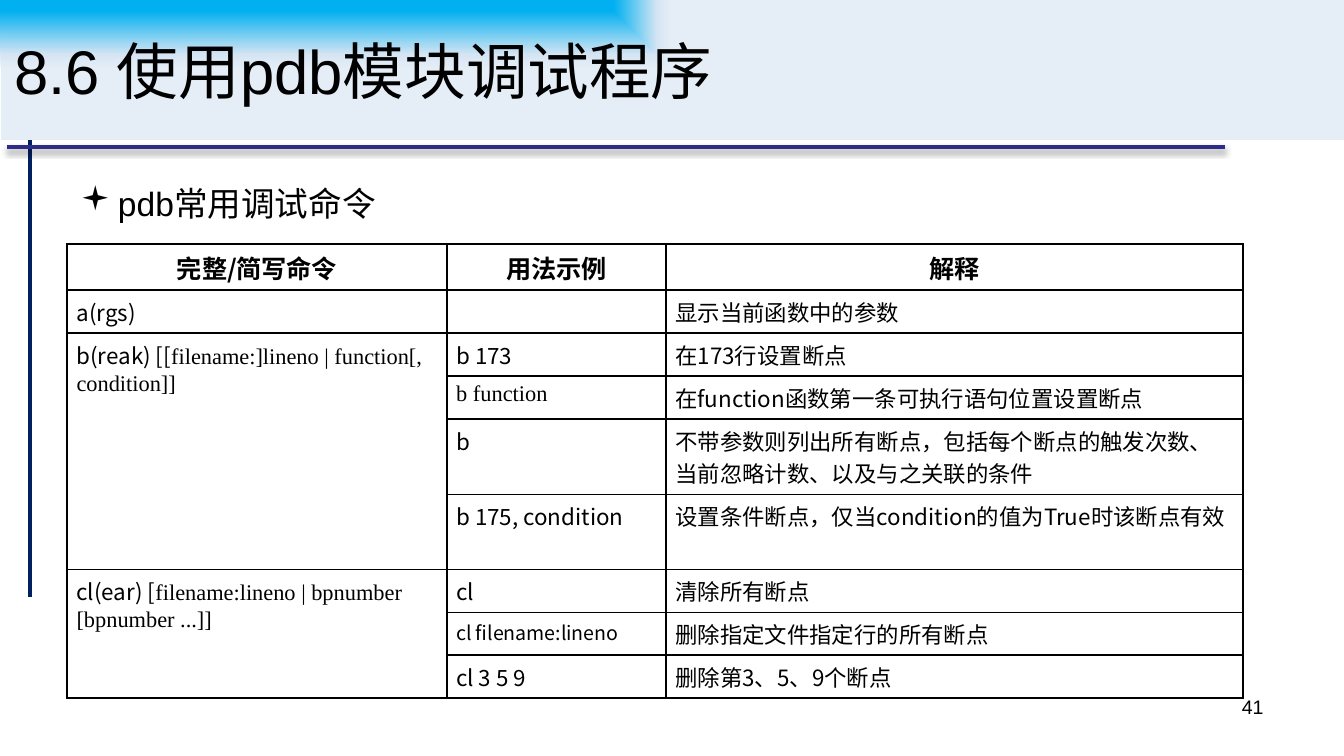
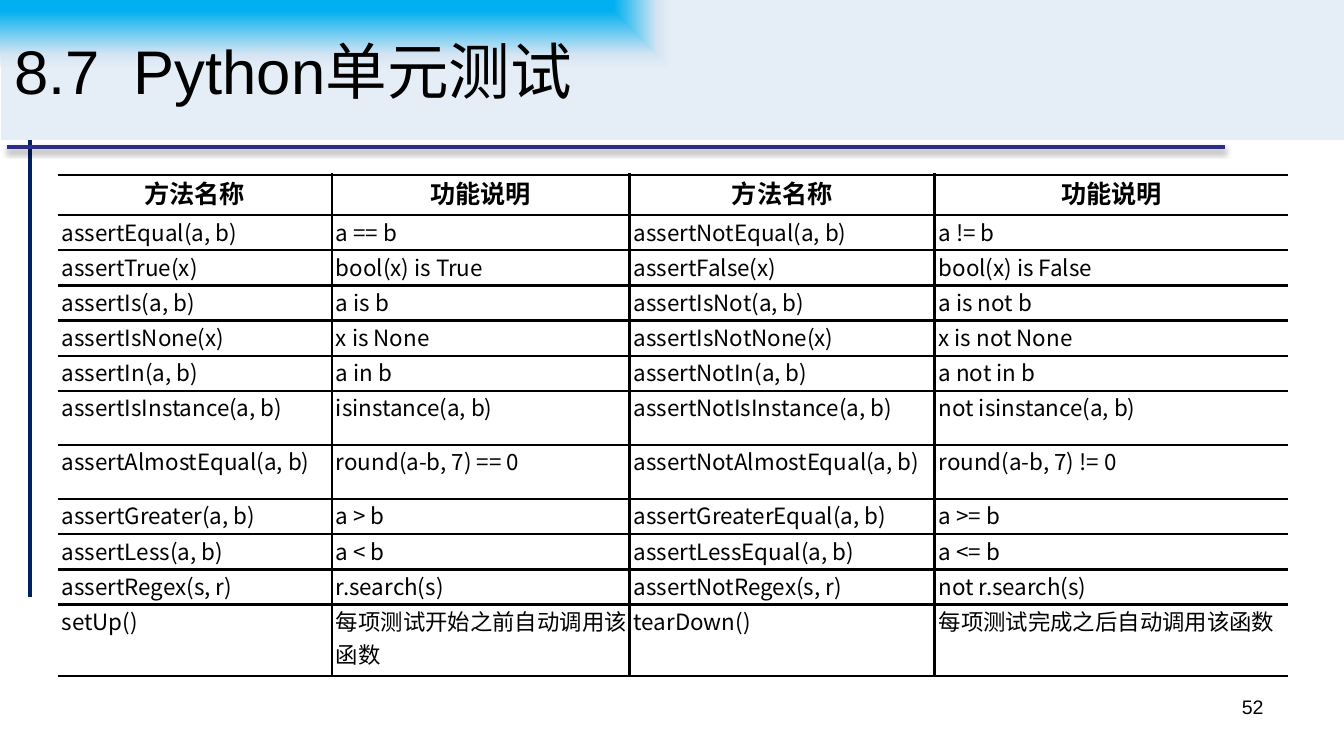
from lxml.etree import SubElement
from pptx import Presentation
from pptx.dml.color import RGBColor
from pptx.enum.shapes import MSO_CONNECTOR
from pptx.enum.text import MSO_ANCHOR, MSO_AUTO_SIZE, PP_ALIGN
from pptx.oxml.ns import qn
from pptx.util import Inches, Pt

UNIT = Inches(0.1)
PAGE_COLUMNS, PAGE_ROWS = 100, 56.25
TITLE_BOX = (0.05, -0.05, 100, 10.5)
TOPIC_BOX = (5, 13.1, 90, 37.1)
NUMBER_BOX = (71.7, 51.2, 23.3, 3.9)

SANS, CJK, SERIF = "Arial", "Noto Sans CJK SC", "Times New Roman"
INK, NAVY, INDIGO = "000000", "002060", "2D2D89"
BAND_STOPS = [(0, "00B0F0"), (16, "00B0F0"), (79, "D7E5F3"), (100, "E5EEF7")]

COMMANDS = [
    ["完整/简写命令", "用法示例", "解释"],
    ["a(rgs)", "", "显示当前函数中的参数"],
    [[("b(reak) [[", CJK, 12), ("filename:]lineno | function[, condition]]", SERIF, 12)],
     "b 173", "在173行设置断点"],
    [None, [("b function", SERIF, 12)], "在function函数第一条可执行语句位置设置断点"],
    [None, "b", "不带参数则列出所有断点，包括每个断点的触发次数、当前忽略计数、以及与之关联的条件"],
    [None, "b 175, condition", "设置条件断点，仅当condition的值为True时该断点有效"],
    [[("cl(ear) [", CJK, 12), ("filename:lineno | bpnumber [bpnumber ...]]", SERIF, 12)],
     "cl", "清除所有断点"],
    [None, [("cl filename:lineno", CJK, 10.5)], "删除指定文件指定行的所有断点"],
    [None, "cl 3 5 9", "删除第3、5、9个断点"],
]

ASSERTIONS = [
    ["方法名称", "功能说明"] * 2,
    ["assertEqual(a, b)", "a == b", "assertNotEqual(a, b)", "a != b"],
    ["assertTrue(x)", "bool(x) is True", "assertFalse(x)", "bool(x) is False"],
    ["assertIs(a, b)", "a is b", "assertIsNot(a, b)", "a is not b"],
    ["assertIsNone(x)", "x is None", "assertIsNotNone(x)", "x is not None"],
    ["assertIn(a, b)", "a in b", "assertNotIn(a, b)", "a not in b"],
    ["assertIsInstance(a, b)", "isinstance(a, b)",
     "assertNotIsInstance(a, b)", "not isinstance(a, b)"],
    ["assertAlmostEqual(a, b)", "round(a-b, 7) == 0",
     "assertNotAlmostEqual(a, b)", "round(a-b, 7) != 0"],
    ["assertGreater(a, b)", "a > b", "assertGreaterEqual(a, b)", "a >= b"],
    ["assertLess(a, b)", "a < b", "assertLessEqual(a, b)", "a <= b"],
    ["assertRegex(s, r)", "r.search(s)", "assertNotRegex(s, r)", "not r.search(s)"],
    ["setUp()", "每项测试开始之前自动调用该函数", "tearDown()", "每项测试完成之后自动调用该函数"],
]


def grid(*cells):
    return [round(cell * UNIT) for cell in cells]


def color(hex_value):
    return RGBColor.from_string(hex_value)


def node(parent, tag, **attributes):
    return SubElement(parent, qn(tag), {key: str(value) for key, value in attributes.items()})


def color_node(parent, hex_value):
    return node(parent, "a:srgbClr", val=color(hex_value))


def add_run(paragraph, text, font, size, bold=False):
    run = paragraph.add_run()
    run.text = text
    run.font.size = Pt(size)
    run.font.bold = bold
    run.font.color.rgb = color(INK)
    run.font.name = font
    node(run.font._element, "a:ea", typeface=CJK)


def space_before(paragraph, percent):
    spacing = node(paragraph._p.get_or_add_pPr(), "a:spcBef")
    node(spacing, "a:spcPct", val=percent * 1000)


def add_rule(slide, start, end, hex_value, shadowed=False):
    rule = slide.shapes.add_connector(MSO_CONNECTOR.STRAIGHT, *grid(*start, *end))
    rule.line.color.rgb = color(hex_value)
    rule.line.width = Pt(2.25)
    effects = node(rule._element.spPr, "a:effectLst")
    if shadowed:
        shadow = node(effects, "a:outerShdw", blurRad=Pt(3.1), dist=Pt(1.8),
                      dir=90 * 60000, algn="t", rotWithShape=0)
        node(color_node(shadow, INK), "a:alpha", val=35000)


def fill_band(title):
    gradient = node(title._element.spPr, "a:gradFill", rotWithShape=1)
    stops = node(gradient, "a:gsLst")
    for position, hex_value in BAND_STOPS:
        color_node(node(stops, "a:gs", pos=position * 1000), hex_value)
    focus = node(gradient, "a:path", path="rect")
    node(focus, "a:fillToRect", r=100000, b=100000)


def place_title(slide, text, box):
    title = slide.shapes.title
    title.left, title.top, title.width, title.height = grid(*box)
    fill_band(title)
    frame = title.text_frame
    frame.auto_size = MSO_AUTO_SIZE.NONE
    frame.word_wrap = True
    frame.vertical_anchor = MSO_ANCHOR.MIDDLE
    frame.paragraphs[0].alignment = PP_ALIGN.LEFT
    add_run(frame.paragraphs[0], text, SANS, 33)
    slide.shapes._spTree.append(title._element)


def add_text(slide, text, size, box):
    frame = slide.shapes.add_textbox(*grid(*box)).text_frame
    frame.word_wrap = True
    paragraph = frame.paragraphs[0]
    add_run(paragraph, text, SANS, size)
    return paragraph


def add_topic(slide, text, box):
    topic = add_text(slide, text, 18, box)
    space_before(topic, 15)
    properties = topic._p.get_or_add_pPr()
    indent = Inches(0.28)
    properties.set("marL", str(indent))
    properties.set("indent", str(-indent))
    node(properties, "a:buFont", typeface="Wingdings", charset=2)
    node(properties, "a:buChar", char="▪")


def draw_borders(cell, width, open_sides):
    properties = cell._tc.get_or_add_tcPr()
    for side in "LRTB":
        border = node(properties, f"a:ln{side}", w=Pt(width))
        if side in open_sides:
            node(border, "a:noFill")
        else:
            color_node(node(border, "a:solidFill"), INK)
    cell.fill.background()


def write_cell(cell, content, heading, before):
    paragraph = cell.text_frame.paragraphs[0]
    paragraph.alignment = PP_ALIGN.CENTER if heading else PP_ALIGN.LEFT
    if before:
        space_before(paragraph, before)
    if not content:
        node(paragraph._p, "a:endParaRPr", sz=1200)
        return
    size = 13.5 if heading else 12
    runs = [(content, CJK, size)] if isinstance(content, str) else content
    for text, font, run_size in runs:
        add_run(paragraph, text, font, run_size, heading)


def add_grid_table(slide, records, origin, columns, rows, border, margins,
                   before=0, open_edges=False):
    table = slide.shapes.add_table(
        len(rows), len(columns), *grid(*origin, sum(columns), sum(rows))).table
    table.first_row = table.horz_banding = False
    for column, width in zip(table.columns, grid(*columns)):
        column.width = width
    for row, height in zip(table.rows, grid(*rows)):
        row.height = height
    last = len(columns) - 1
    for r, record in enumerate(records):
        for c, content in enumerate(record):
            cell = table.cell(r, c)
            heading = r == 0
            left, right, vertical = margins(heading)
            cell.margin_left, cell.margin_right = Inches(left), Inches(right)
            cell.margin_top = cell.margin_bottom = Inches(vertical)
            edges = {0: "L", last: "R"} if open_edges else {}
            draw_borders(cell, border, edges.get(c, ""))
            write_cell(cell, content, heading, before)
    return table


def merge_groups(table, records):
    starts = [r for r, record in enumerate(records) if record[0] is not None]
    for start, following in zip(starts, starts[1:] + [len(records)]):
        if following - start > 1:
            table.cell(start, 0).merge(table.cell(following - 1, 0))


def add_page(deck, title, number):
    slide = deck.slides.add_slide(deck.slide_layouts[5])
    add_rule(slide, (2.25, 8.1), (2.25, 44.45), NAVY)
    add_rule(slide, (0.5, 10.95), (91.15, 10.95), INDIGO, shadowed=True)
    place_title(slide, title, TITLE_BOX)
    add_text(slide, number, 10.5, NUMBER_BOX).alignment = PP_ALIGN.RIGHT
    return slide


def debugger_page(deck):
    slide = add_page(deck, "8.6 使用pdb模块调试程序", "41")
    add_topic(slide, "pdb常用调试命令", TOPIC_BOX)
    table = add_grid_table(
        slide, COMMANDS, (5, 18.15), [28.25, 16.3, 42.95],
        [3.45] + [3.2] * 3 + [5.6] * 2 + [3.18] * 3, 1,
        lambda heading: (0.07, 0.07, 0.04), before=20)
    merge_groups(table, COMMANDS)


def unittest_page(deck):
    slide = add_page(deck, "8.7  Python单元测试", "52")
    add_grid_table(
        slide, ASSERTIONS, (4.3, 13), [20.4, 22.15, 22.7, 26.3],
        [3] + [2.62] * 5 + [4.02] * 2 + [2.62] * 3 + [5.3], 1.5,
        lambda heading: (0 if heading else 0.03, 0, 0), open_edges=True)


def main():
    deck = Presentation()
    deck.slide_width, deck.slide_height = grid(PAGE_COLUMNS, PAGE_ROWS)
    debugger_page(deck)
    unittest_page(deck)
    deck.save("out.pptx")


if __name__ == "__main__":
    main()
